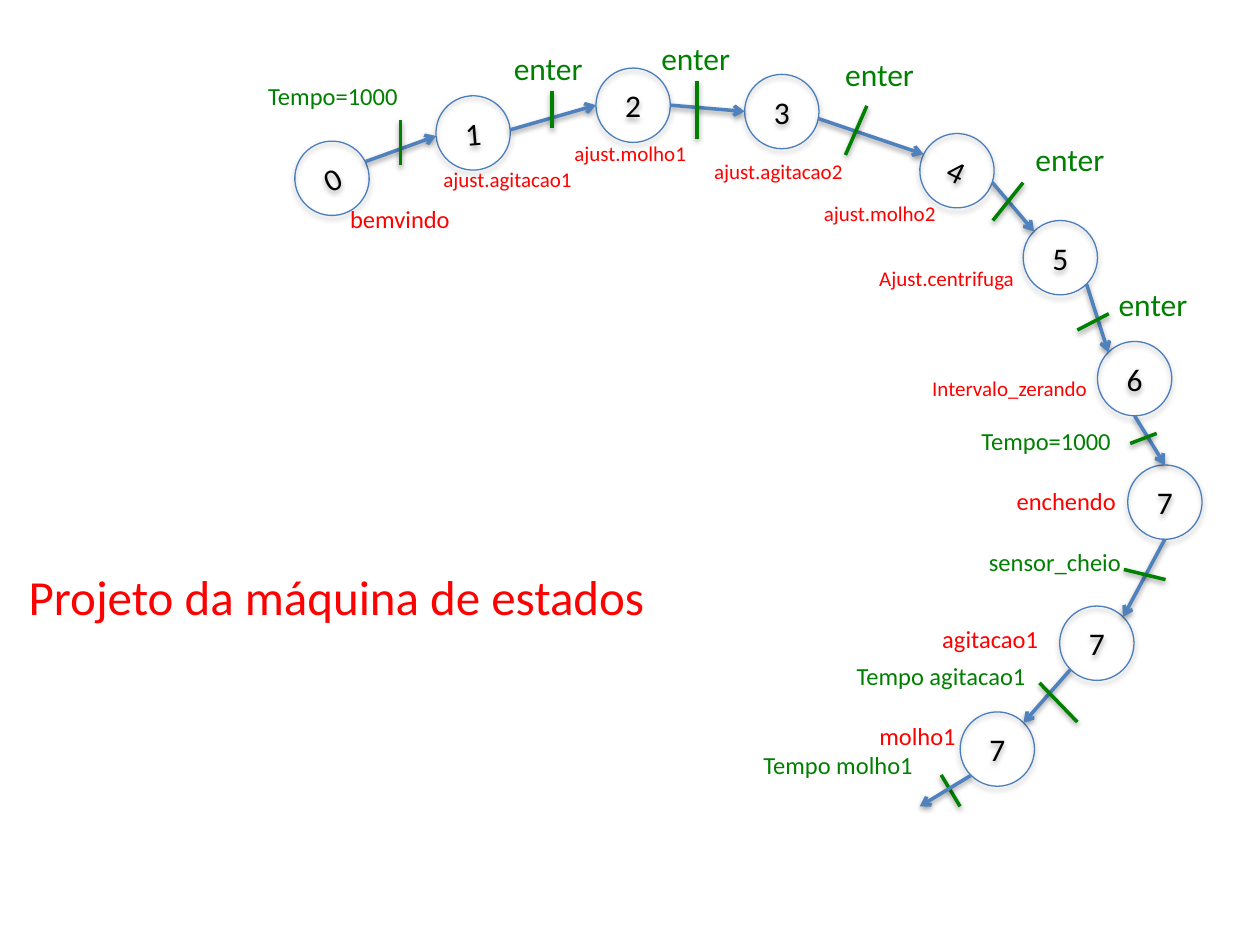
from dataclasses import dataclass
from math import cos, radians, sin

from lxml.etree import SubElement
from pptx import Presentation
from pptx.dml.color import RGBColor as Color
from pptx.enum.shapes import MSO_CONNECTOR as Connector, MSO_SHAPE as Shape
from pptx.enum.text import MSO_ANCHOR as Anchor, MSO_AUTO_SIZE as AutoSize, PP_ALIGN as Align
from pptx.oxml.ns import qn
from pptx.util import Inches, Pt

SLIDE_WIDTH, SLIDE_HEIGHT = Inches(10), Inches(7.5)
COLUMNS, ROWS = 100, 75
RADIUS = 2.95


@dataclass(frozen=True)
class Theme:
    font: str = "Calibri"
    ink: Color = Color(0, 0, 0)
    outline: Color = Color(0x4B, 0x7E, 0xBC)
    arrow: Color = Color(0x4F, 0x81, 0xBD)
    condition: Color = Color(0, 0x80, 0)
    action: Color = Color(0xFF, 0, 0)
    title_size: int = 28
    large: int = 18
    medium: int = 14
    small: int = 12
    outline_width: float = 0.75
    line_width: float = 2


THEME = Theme()
LABEL_HEIGHTS = {THEME.title_size: 5.7, THEME.large: 4, THEME.medium: 3.4, THEME.small: 3}


@dataclass(frozen=True)
class State:
    name: str
    column: float
    row: float
    rotation: float = 0

    def edge(self, direction):
        angle = radians(direction + self.rotation)
        return self.column + RADIUS * cos(angle), self.row + RADIUS * sin(angle)


STATES = [
    State("0", 26.35, 14.15, -26.5),
    State("1", 37.55, 10.55, -4.8),
    State("2", 50.25, 8.35),
    State("3", 62.05, 8.85),
    State("4", 75.95, 13.55, 26.3),
    State("5", 84.15, 20.45),
    State("6", 90.05, 30.05),
    State("7", 92.45, 39.85),
    State("7", 87.05, 51.05),
    State("7", 79.15, 59.45),
]

# Directions in degrees, clockwise from the right side of each state.
EXIT_ENTRY = [
    (0, 180), (0, 180), (0, 180), (11, 180), (-8, 225),
    (45, 225), (90, 270), (90, 315), (135, 315),
]
LAST_EXIT, LAST_POINT = 135, (73, 64)

TRANSITION_BARS = [
    ((31.8, 9.5), (31.8, 13.1)),
    ((43.8, 7.2), (43.8, 10.2)),
    ((55.3, 6.4), (55.3, 11)),
    ((68.8, 8.4), (67.1, 12.3)),
    ((81.2, 14.5), (78.8, 17.5)),
    ((88, 24.9), (85.5, 26.2)),
    ((89.7, 35.2), (91.8, 34.4)),
    ((89.2, 45.2), (92.5, 46)),
    ((82.5, 54.2), (85.5, 57.3)),
    ((74.7, 61.5), (76.2, 64)),
]

LABELS = {
    (THEME.condition, THEME.large): [
        ("enter", 39.8, 3.4, 7.6),
        ("enter", 51.5, 2.6, 7.6),
        ("enter", 66.1, 3.9, 7.6),
        ("enter", 81.2, 10.6, 7.6),
        ("enter", 87.8, 22.1, 7.6),
    ],
    (THEME.condition, THEME.medium): [
        ("Tempo=1000", 20.3, 5.9, 12.5),
        ("Tempo=1000", 76.9, 33.3, 12.5),
        ("sensor_cheio", 77.5, 42.9, 12.6),
        ("Tempo agitacao1", 67, 52, 15.7),
        ("Tempo molho1", 59.6, 59, 14.1),
    ],
    (THEME.action, THEME.medium): [
        ("bemvindo", 26.8, 15.7, 10),
        ("enchendo", 79.7, 38.1, 10),
        ("agitacao1", 73.8, 49, 9.7),
        ("molho1", 68.8, 56.7, 8.1),
    ],
    (THEME.action, THEME.small): [
        ("ajust.agitacao1", 34.2, 12.7, 12.4),
        ("ajust.molho1", 44.6, 10.7, 11),
        ("ajust.agitacao2", 55.7, 12.1, 12.4),
        ("ajust.molho2", 64.4, 15.4, 11),
        ("Ajust.centrifuga", 68.8, 20.6, 13),
        ("Intervalo_zerando", 73, 29.3, 14.5),
    ],
    (THEME.action, THEME.title_size): [
        ("Projeto da máquina de estados", 1.3, 44.5, 51.6),
    ],
}


def grid(column, row):
    return round(SLIDE_WIDTH * column / COLUMNS), round(SLIDE_HEIGHT * row / ROWS)


def write(shape, text, size, color):
    paragraph = shape.text_frame.paragraphs[0]
    paragraph.text = text
    paragraph.font.name = THEME.font
    paragraph.font.size = Pt(size)
    paragraph.font.color.rgb = color
    return paragraph


def add_state(slide, state):
    position = grid(state.column - RADIUS, state.row - RADIUS)
    shape = slide.shapes.add_shape(Shape.OVAL, *position, *grid(2 * RADIUS, 2 * RADIUS))
    shape.rotation = state.rotation
    shape.fill.background()
    shape.line.color.rgb = THEME.outline
    shape.line.width = Pt(THEME.outline_width)
    shape.text_frame.vertical_anchor = Anchor.MIDDLE
    write(shape, state.name, THEME.large, THEME.ink).alignment = Align.CENTER


def add_line(slide, start, end, color):
    line = slide.shapes.add_connector(Connector.STRAIGHT, *grid(*start), *grid(*end)).line
    line.color.rgb = color
    line.width = Pt(THEME.line_width)
    return line


def add_arrow(slide, start, end):
    line = add_line(slide, start, end, THEME.arrow)
    SubElement(line._get_or_add_ln(), qn("a:tailEnd"), type="arrow")


def add_label(slide, text, column, row, width, size, color):
    shape = slide.shapes.add_textbox(*grid(column, row), *grid(width, LABEL_HEIGHTS[size]))
    shape.text_frame.word_wrap = False
    shape.text_frame.auto_size = AutoSize.SHAPE_TO_FIT_TEXT
    write(shape, text, size, color)


def main():
    presentation = Presentation()
    presentation.slide_width, presentation.slide_height = SLIDE_WIDTH, SLIDE_HEIGHT
    slide = presentation.slides.add_slide(presentation.slide_layouts[6])

    for state in STATES:
        add_state(slide, state)
    for source, target, (leaving, entering) in zip(STATES, STATES[1:], EXIT_ENTRY):
        add_arrow(slide, source.edge(leaving), target.edge(entering))
    for start, end in TRANSITION_BARS:
        add_line(slide, start, end, THEME.condition)
    add_arrow(slide, STATES[-1].edge(LAST_EXIT), LAST_POINT)
    for (color, size), labels in LABELS.items():
        for text, column, row, width in labels:
            add_label(slide, text, column, row, width, size, color)

    presentation.save("out.pptx")


if __name__ == "__main__":
    main()
